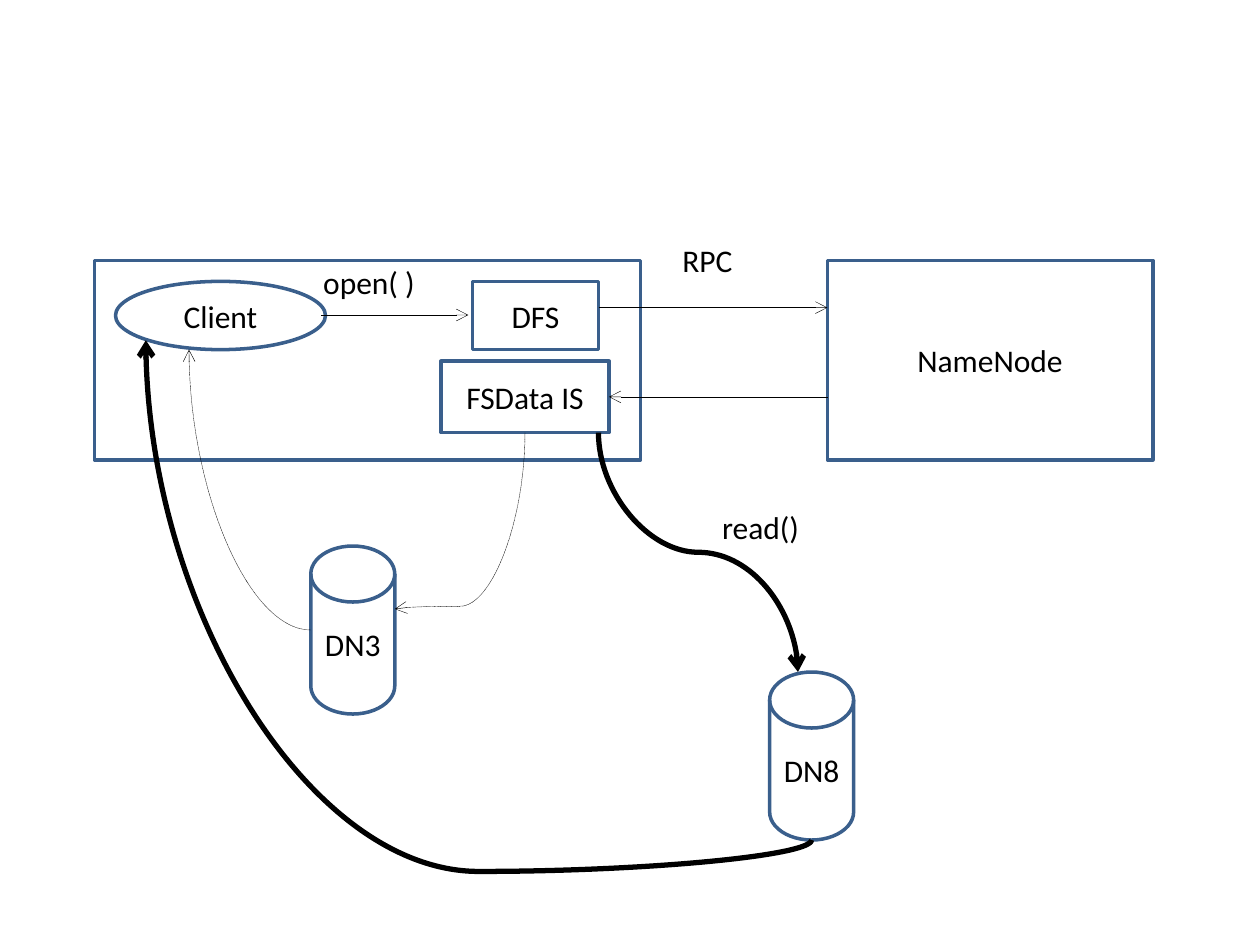
import pptx
import pptx.util
import pptx.dml.color
import pptx.enum.dml
import pptx.enum.shapes
import pptx.enum.text
import pptx.oxml
import pptx.oxml.ns

COLORS = {"outline": "3A5F8C", "ink": "000000", "paper": "FFFFFF"}
FONT = "Calibri"
CELL = 1 / 6  # the slide is a grid of 60 columns and 45 rows
THIN, THICK = 0.25, 3

SHAPES = pptx.enum.shapes.MSO_SHAPE
CONNECTORS = pptx.enum.shapes.MSO_CONNECTOR


def cells(*counts):
    return [pptx.util.Inches(count * CELL) for count in counts]


def color(name):
    return pptx.dml.color.RGBColor.from_string(COLORS[name])


def write(frame, text, align):
    frame.text = text
    para = frame.paragraphs[0]
    para.alignment = align
    for span in para.runs:
        span.font.name = FONT
        span.font.size = pptx.util.Pt(18)
        span.font.color.rgb = color("ink")


def add_node(page, kind, place, text="", filled=False):
    node = page.shapes.add_shape(kind, *cells(*place))
    node.shadow.inherit = False
    if filled:
        node.fill.solid()
        node.fill.fore_color.rgb = color("paper")
    else:
        node.fill.background()
    node.line.color.rgb = color("outline")
    node.line.width = pptx.util.Pt(2)
    if text:
        node.text_frame.vertical_anchor = pptx.enum.text.MSO_ANCHOR.MIDDLE
        write(node.text_frame, text, pptx.enum.text.PP_ALIGN.CENTER)
    return node


def add_label(parent, place, text, wrap=True):
    box = parent.shapes.add_textbox(*cells(*place))
    box.text_frame.word_wrap = wrap
    box.text_frame.auto_size = pptx.enum.text.MSO_AUTO_SIZE.SHAPE_TO_FIT_TEXT
    write(box.text_frame, text, pptx.enum.text.PP_ALIGN.LEFT)


def add_arrow(parent, start, end, weight=THIN, kind=CONNECTORS.STRAIGHT):
    arrow = parent.shapes.add_connector(kind, *cells(*start, *end))
    arrow.line.color.rgb = color("ink")
    arrow.line.width = pptx.util.Pt(weight)
    if weight == THIN:
        arrow.line.dash_style = pptx.enum.dml.MSO_LINE.ROUND_DOT
    properties = arrow._element.spPr
    outline = properties.find(pptx.oxml.ns.qn("a:ln"))
    head = pptx.oxml.parse_xml(
        f'<a:tailEnd {pptx.oxml.ns.nsdecls("a")} type="arrow"/>')
    outline.append(head)
    properties.append(pptx.oxml.parse_xml(
        f'<a:effectLst {pptx.oxml.ns.nsdecls("a")}/>'))
    return arrow


def add_curve(page, start, end, turn, weight=THIN, flip=False, bends=3, bend=0.5):
    """Frame a curve around the middle of its ends, then turn it."""
    width, height = abs(end[0] - start[0]), abs(end[1] - start[1])
    if turn % 180:
        width, height = height, width
    middle_x, middle_y = (start[0] + end[0]) / 2, (start[1] + end[1]) / 2
    left, right = middle_x - width / 2, middle_x + width / 2
    if flip:
        left, right = right, left
    curve = add_arrow(page, (left, middle_y - height / 2),
                      (right, middle_y + height / 2), weight, CONNECTORS.CURVE)
    properties = curve._element.spPr
    properties.find(pptx.oxml.ns.qn("a:xfrm")).set("rot", str(turn * 60000))
    geometry = properties.find(pptx.oxml.ns.qn("a:prstGeom"))
    geometry.set("prst", f"curvedConnector{bends}")
    if bends == 3:
        for old in list(geometry):
            geometry.remove(old)
        geometry.append(pptx.oxml.parse_xml(
            f'<a:avLst {pptx.oxml.ns.nsdecls("a")}>'
            f'<a:gd name="adj1" fmla="val {round(bend * 100000)}"/></a:avLst>'))


def main():
    deck = pptx.Presentation()
    deck.slide_width, deck.slide_height = cells(60, 45)
    page = deck.slides.add_slide(deck.slide_layouts[6])

    # Client side
    add_node(page, SHAPES.RECTANGLE, (4.5, 12.4, 26, 9.5))
    add_node(page, SHAPES.OVAL, (5.5, 13.4, 10, 3.25), "Client")
    open_call = page.shapes.add_group_shape()
    add_arrow(open_call, (15.3, 15), (22.3, 15))
    add_label(open_call, (14.8, 12.25, 8, 2.4), "open( )")
    add_node(page, SHAPES.RECTANGLE, (22.5, 13.4, 6, 3.25), "DFS")

    # NameNode and its calls
    add_node(page, SHAPES.RECTANGLE, (39.4, 12.4, 15.5, 9.5), "NameNode")
    add_arrow(page, (28.5, 14.65), (39.4, 14.65))
    add_label(page, (31.9, 11.2, 5.1, 2.4), "RPC")
    stream = add_node(page, SHAPES.FLOWCHART_PROCESS, (21, 17.2, 8, 3.4),
                      "FSData IS", filled=True)
    reply = add_arrow(page, (39.4, 18.9), (29, 18.9))
    reply.end_connect(stream, 3)

    # First data node
    add_node(page, SHAPES.FLOWCHART_MAGNETIC_DISK, (14.8, 26, 4, 8), "DN3", filled=True)
    add_curve(page, (25, 20.6), (18.8, 29), 90, bend=0.985)
    add_label(page, (33.8, 23.9, 4.9, 2.4), "read()", wrap=False)
    add_curve(page, (14.8, 30), (9, 16.65), 180, bends=2)

    # Second data node
    add_node(page, SHAPES.FLOWCHART_MAGNETIC_DISK, (36.65, 32, 4, 8), "DN8", filled=True)
    add_curve(page, (38.65, 40), (6.95, 16.2), 90, THICK, flip=True, bend=-0.063)
    add_curve(page, (28.5, 20.6), (38, 32), 270, THICK, flip=True)

    deck.save("out.pptx")


if __name__ == "__main__":
    main()
